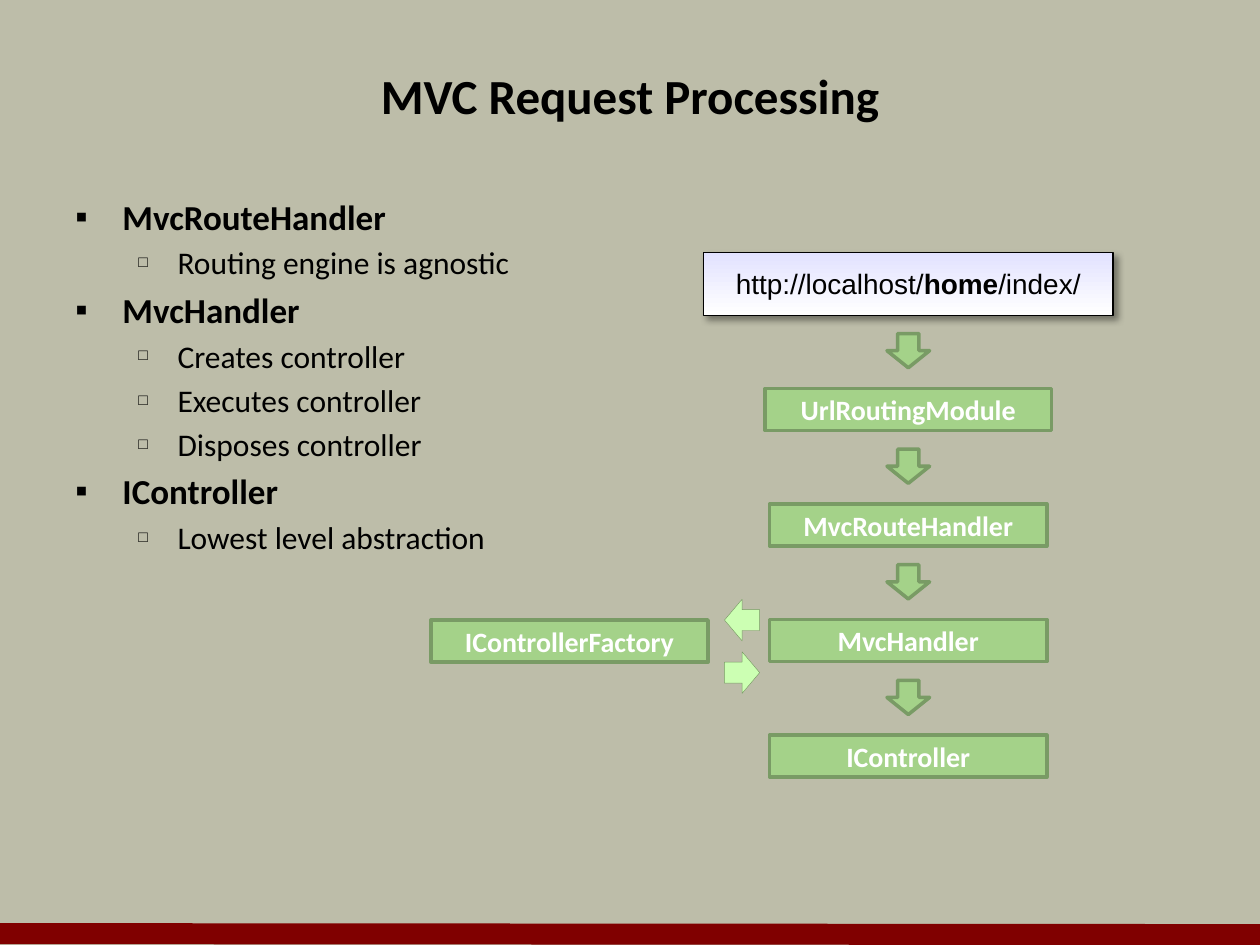
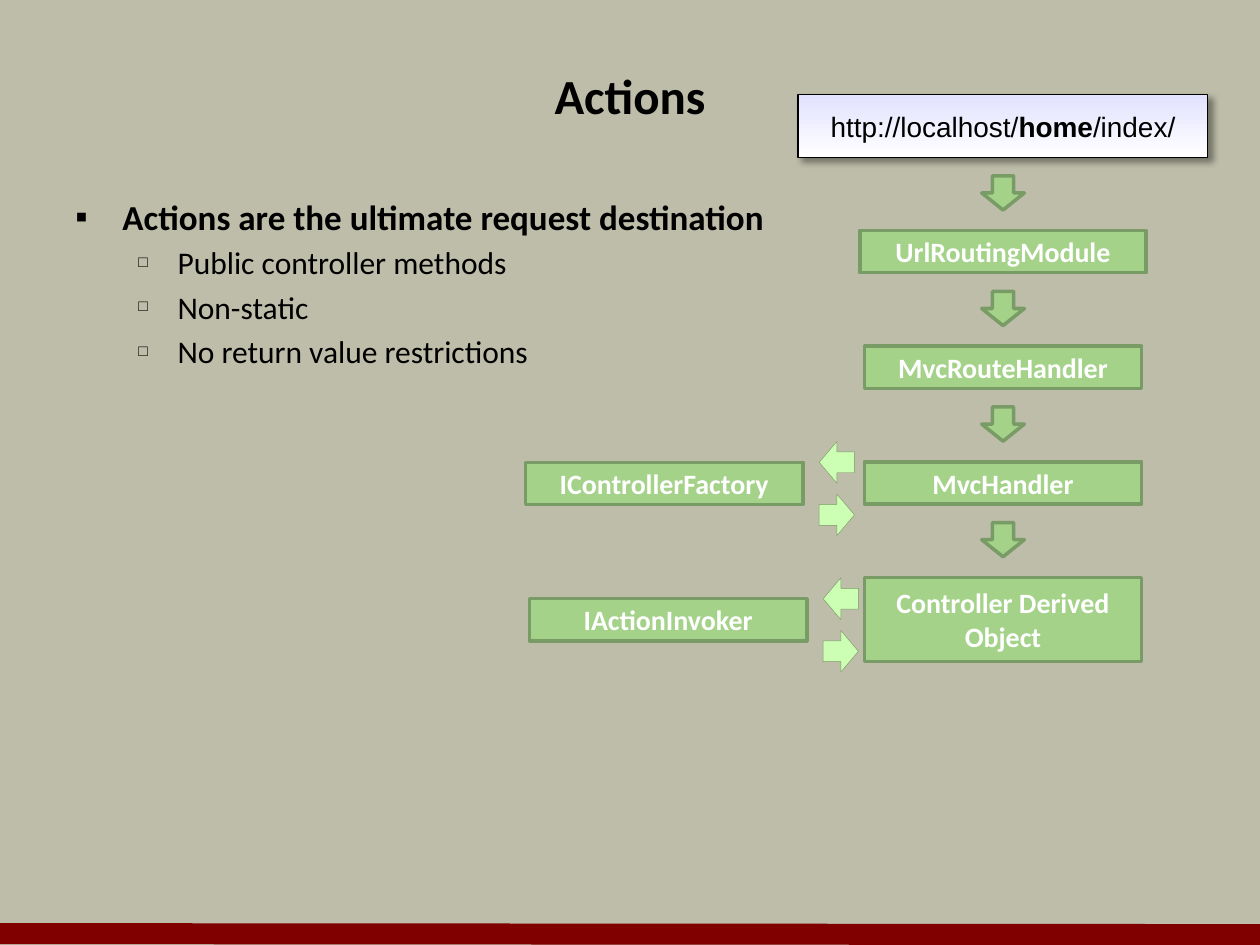
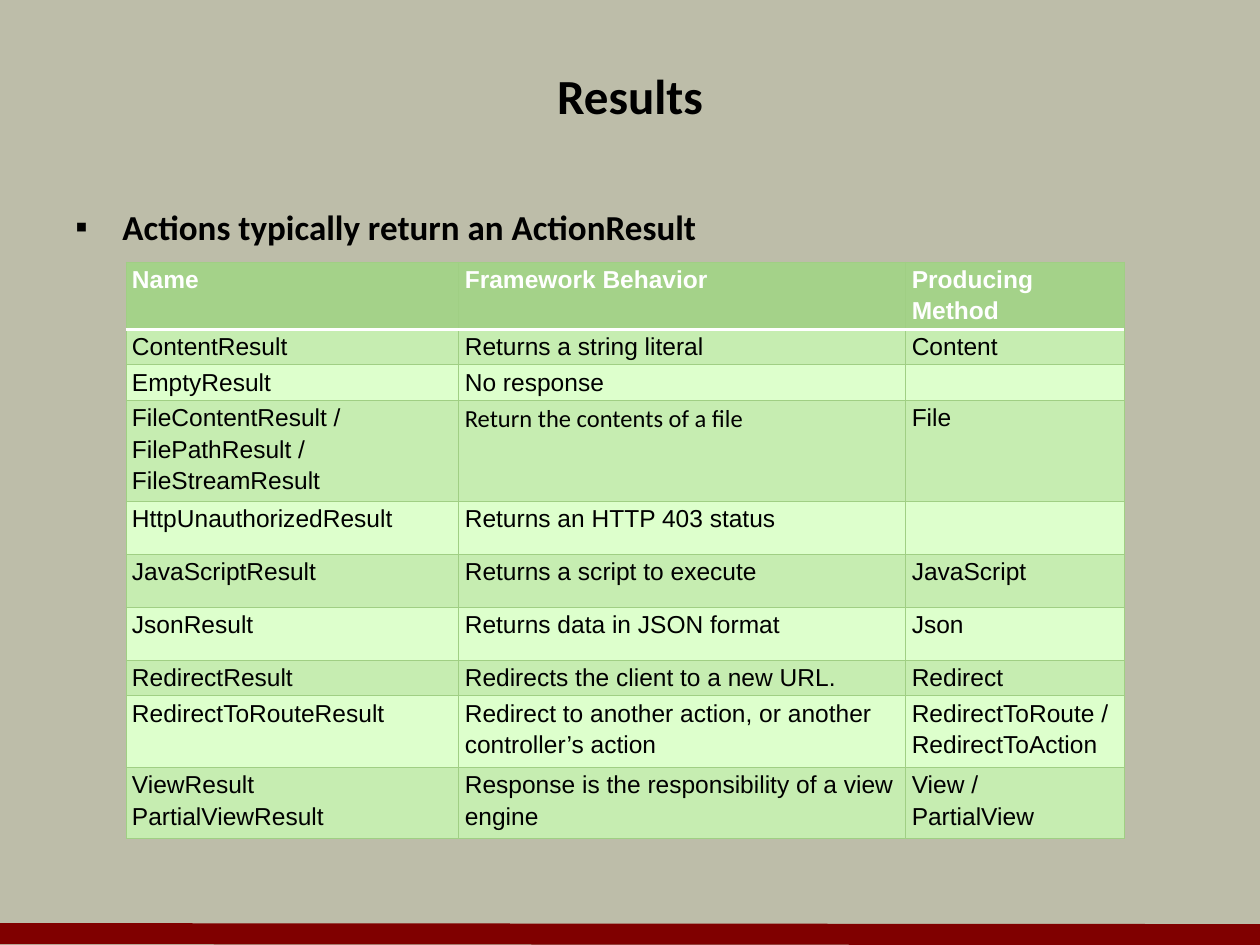
"""Build three slides on request handling, actions and results."""
import pptx
import pptx.dml.color
import pptx.enum.shapes
import pptx.enum.text
import pptx.oxml
import pptx.oxml.ns
import pptx.util
from lxml import etree

Cm, Pt = pptx.util.Cm, pptx.util.Pt
RGB = pptx.dml.color.RGBColor
SHAPE = pptx.enum.shapes.MSO_SHAPE
ALIGN = pptx.enum.text.PP_ALIGN
MIDDLE = pptx.enum.text.MSO_ANCHOR.MIDDLE
qn = pptx.oxml.ns.qn

SAND = RGB(0xBD, 0xBD, 0xA9)
MAROON = RGB(0x80, 0x00, 0x00)
BLACK = RGB(0x00, 0x00, 0x00)
WHITE = RGB(0xFF, 0xFF, 0xFF)
LILAC = RGB(0xE2, 0xE2, 0xFF)
GREEN = RGB(0xA4, 0xD2, 0x89)
MOSS = RGB(0x79, 0x9B, 0x65)
LIME = RGB(0xCC, 0xFF, 0xB3)
BAND = RGB(0xC6, 0xED, 0xB1)
PALE = RGB(0xDD, 0xFF, 0xCC)
EDGE = RGB(0xA0, 0xCF, 0x84)

URL = ("http://localhost/", "home", "/index/")
FLOWS = [
    {
        "title": "MVC Request Processing",
        "points": [
            (0, "MvcRouteHandler"), (1, "Routing engine is agnostic"),
            (0, "MvcHandler"), (1, "Creates controller"),
            (1, "Executes controller"), (1, "Disposes controller"),
            (0, "IController"), (1, "Lowest level abstraction"),
        ],
        "width": 14.82, "mid": 18.31, "top": 5.08,
        "steps": ["UrlRoutingModule", "MvcRouteHandler", "MvcHandler", "IController"],
        "sides": [("IControllerFactory", 12.5, 0)],
    },
    {
        "title": "Actions",
        "points": [
            (0, "Actions are the ultimate request destination"),
            (1, "Public controller methods"), (1, "Non-static"),
            (1, "No return value restrictions"),
        ],
        "width": 15.24, "mid": 20.22, "top": 1.9,
        "steps": ["UrlRoutingModule", "MvcRouteHandler", "MvcHandler",
                  "Controller Derived\nObject"],
        "sides": [("IControllerFactory", 9.32, 0), ("IActionInvoker", 12.07, 0.08)],
    },
]
RESULTS = "Results"
RETURN = [(0, "Actions typically return an ActionResult")]
COLS = [6.71, 9.01, 4.4]
ROWS = [
    (1.27, "Name", "Framework Behavior", "Producing Method"),
    (0.71, "ContentResult", "Returns a string literal", "Content"),
    (0.71, "EmptyResult", "No response", ""),
    (1.9, "FileContentResult / FilePathResult / FileStreamResult",
     "Return the contents of a file", "File"),
    (1.07, "HttpUnauthorizedResult", "Returns an HTTP 403 status", ""),
    (1.07, "JavaScriptResult", "Returns a script to execute", "JavaScript"),
    (1.07, "JsonResult", "Returns data in JSON format", "Json"),
    (0.71, "RedirectResult", "Redirects the client to a new URL.", "Redirect"),
    (1.44, "RedirectToRouteResult",
     "Redirect to another action, or another controller’s action",
     "RedirectToRoute / RedirectToAction"),
    (1.44, "ViewResult\nPartialViewResult",
     "Response is the responsibility of a view engine", "View /\vPartialView"),
]
CALIBRI_CELL = (3, 1)
LEVELS = [
    {"char": "▪", "scale": 100, "left": 0.95, "hang": 0.95, "size": 20},
    {"char": "□", "scale": 50, "left": 2.06, "hang": 0.79, "size": 18},
]
STEP = 2.33
BOX_H = 0.85


def style(para, name, size, color, bold=False):
    """Set the font of a paragraph."""
    font = para.font
    font.name, font.size, font.bold = name, Pt(size), bold
    font.color.rgb = color


def add_text(slide, left, top, width, height):
    """Add an empty wrapping text box and return its frame."""
    box = slide.shapes.add_textbox(Cm(left), Cm(top), Cm(width), Cm(height))
    box.text_frame.word_wrap = True
    return box.text_frame


def add_slide(deck, title):
    """Add a slide with the shared title and bottom band."""
    slide = deck.slides.add_slide(deck.slide_layouts[6])
    line = slide.shapes.add_connector(
        pptx.enum.shapes.MSO_CONNECTOR.STRAIGHT, 0, Cm(18.82), Cm(25.4), Cm(18.84))
    line.line.color.rgb, line.line.width = MAROON, Pt(12)
    etree.SubElement(line._element.spPr, qn("a:effectLst"))
    frame = add_text(slide, 1.27, 0.85, 22.86, 2.12)
    frame.vertical_anchor = MIDDLE
    para = frame.paragraphs[0]
    para.text, para.alignment = title, ALIGN.CENTER
    style(para, "Calibri", 28, BLACK, True)
    return slide


def add_points(slide, points, top, width):
    """Add the bulleted text."""
    frame = add_text(slide, 1.27, top, width, 12.5)
    for i, (depth, text) in enumerate(points):
        para = frame.paragraphs[0] if i == 0 else frame.add_paragraph()
        level = LEVELS[depth]
        para.text = text
        props = para._p.get_or_add_pPr()
        props.set("marL", str(Cm(level["left"])))
        props.set("indent", str(-Cm(level["hang"])))
        etree.SubElement(props, qn("a:buSzPct"), val=str(level["scale"] * 1000))
        etree.SubElement(props, qn("a:buFont"), typeface="Arial")
        etree.SubElement(props, qn("a:buChar"), char=level["char"])
        if i:
            para.space_before = Pt(level["size"] * 0.2)
        style(para, "Calibri", level["size"], BLACK, depth == 0)


def add_form(slide, kind, mid, center, width, height, fill=GREEN, edge=MOSS, weight=2):
    """Add a shape placed by its centre."""
    form = slide.shapes.add_shape(kind, Cm(mid - width / 2), Cm(center - height / 2),
                                  Cm(width), Cm(height))
    form.shadow.inherit = False
    form.fill.solid()
    form.fill.fore_color.rgb = fill
    form.line.color.rgb, form.line.width = edge, Pt(weight)
    return form


def add_box(slide, text, mid, top, width=5.59):
    """Add a labelled green box, one line height per line of text."""
    height = BOX_H * len(text.split("\n"))
    box = add_form(slide, SHAPE.RECTANGLE, mid, top + height / 2, width, height)
    frame = box.text_frame
    frame.text, frame.vertical_anchor = text, MIDDLE
    for para in frame.paragraphs:
        para.alignment = ALIGN.CENTER
        style(para, "Calibri", 16, WHITE, True)


def add_url(slide, mid, top):
    """Add the address box with gradient and shadow."""
    box = add_form(slide, SHAPE.RECTANGLE, mid, top + 0.64, 8.26, 1.27, WHITE, BLACK, 0.75)
    box.fill.gradient()
    box.fill.gradient_angle = 270
    for stop, color, place in zip(box.fill.gradient_stops, (LILAC, WHITE), (0, 1)):
        stop.color.rgb, stop.position = color, place
    cast = etree.SubElement(
        box._element.spPr.find(qn("a:effectLst")), qn("a:outerShdw"),
        blurRad=str(Pt(4)), dist=str(Pt(3)), dir="2700000", algn="tl", rotWithShape="0")
    tint = etree.SubElement(cast, qn("a:srgbClr"), val=str(BLACK))
    etree.SubElement(tint, qn("a:alpha"), val="40000")
    box.text_frame.word_wrap = False
    box.text_frame.vertical_anchor = MIDDLE
    para = box.text_frame.paragraphs[0]
    para.alignment = ALIGN.CENTER
    style(para, "Arial", 16, BLACK)
    for i, part in enumerate(URL):
        run = para.add_run()
        run.text, run.font.bold = part, i == 1


def add_flow(slide, flow):
    """Draw the address, the chain of steps and the side boxes."""
    mid, top = flow["mid"], flow["top"]
    add_url(slide, mid, top)
    for i, step in enumerate(flow["steps"]):
        arrow = add_form(slide, SHAPE.RIGHT_ARROW, mid, top + 1.99 + i * STEP, 0.69, 0.86)
        arrow.rotation = 90
        add_box(slide, step, mid, top + 2.75 + i * STEP, 5.77 if i == 0 else 5.59)
    for name, side, shift in flow["sides"]:
        add_box(slide, name, mid - 6.83 + shift, side)
        for turn, drop in ((180, 0), (0, 1.06)):
            arrow = add_form(slide, SHAPE.RIGHT_ARROW, mid - 3.35 + shift, side + drop,
                             0.71, 0.84, LIME, MOSS, 0.25)
            arrow.rotation = turn


def add_edges(cell, row):
    """Draw cell borders, with a white rule below the header."""
    for side in ("L", "R", "T", "B"):
        rule = (row, side) in ((0, "B"), (1, "T"))
        line = etree.SubElement(cell._tc.get_or_add_tcPr(), qn("a:ln" + side),
                                w=str(Pt(2 if rule else 0.5)))
        fill = etree.SubElement(line, qn("a:solidFill"))
        etree.SubElement(fill, qn("a:srgbClr"), val=str(WHITE if rule else EDGE))


def add_grid(slide):
    """Add the table of result types."""
    table = slide.shapes.add_table(
        len(ROWS), len(COLS), Cm(2.54), Cm(5.28), Cm(sum(COLS)),
        Cm(sum(row[0] for row in ROWS))).table
    for col, width in zip(table.columns, COLS):
        col.width = Cm(width)
    for r, (height, *texts) in enumerate(ROWS):
        table.rows[r].height = Cm(height)
        for c, text in enumerate(texts):
            cell = table.cell(r, c)
            cell.margin_left = cell.margin_right = Cm(0.12)
            cell.margin_top = cell.margin_bottom = 0
            add_edges(cell, r)
            cell.fill.solid()
            cell.fill.fore_color.rgb = GREEN if r == 0 else BAND if r % 2 else PALE
            cell.text_frame.text = text
            for para in cell.text_frame.paragraphs:
                para.line_spacing = 1.15
                name = "Calibri" if (r, c) == CALIBRI_CELL else "Arial"
                style(para, name, 14, BLACK if r else WHITE, r == 0)


def main():
    """Build and save the deck."""
    deck = pptx.Presentation()
    deck.slide_width, deck.slide_height = Cm(25.4), Cm(19.05)
    back = deck.slide_master.background.fill
    back.solid()
    back.fore_color.rgb = SAND
    for flow in FLOWS:
        slide = add_slide(deck, flow["title"])
        add_points(slide, flow["points"], 3.81, flow["width"])
        add_flow(slide, flow)
    slide = add_slide(deck, RESULTS)
    add_points(slide, RETURN, 4.02, 22.86)
    add_grid(slide)
    deck.save("out.pptx")


if __name__ == "__main__":
    main()
